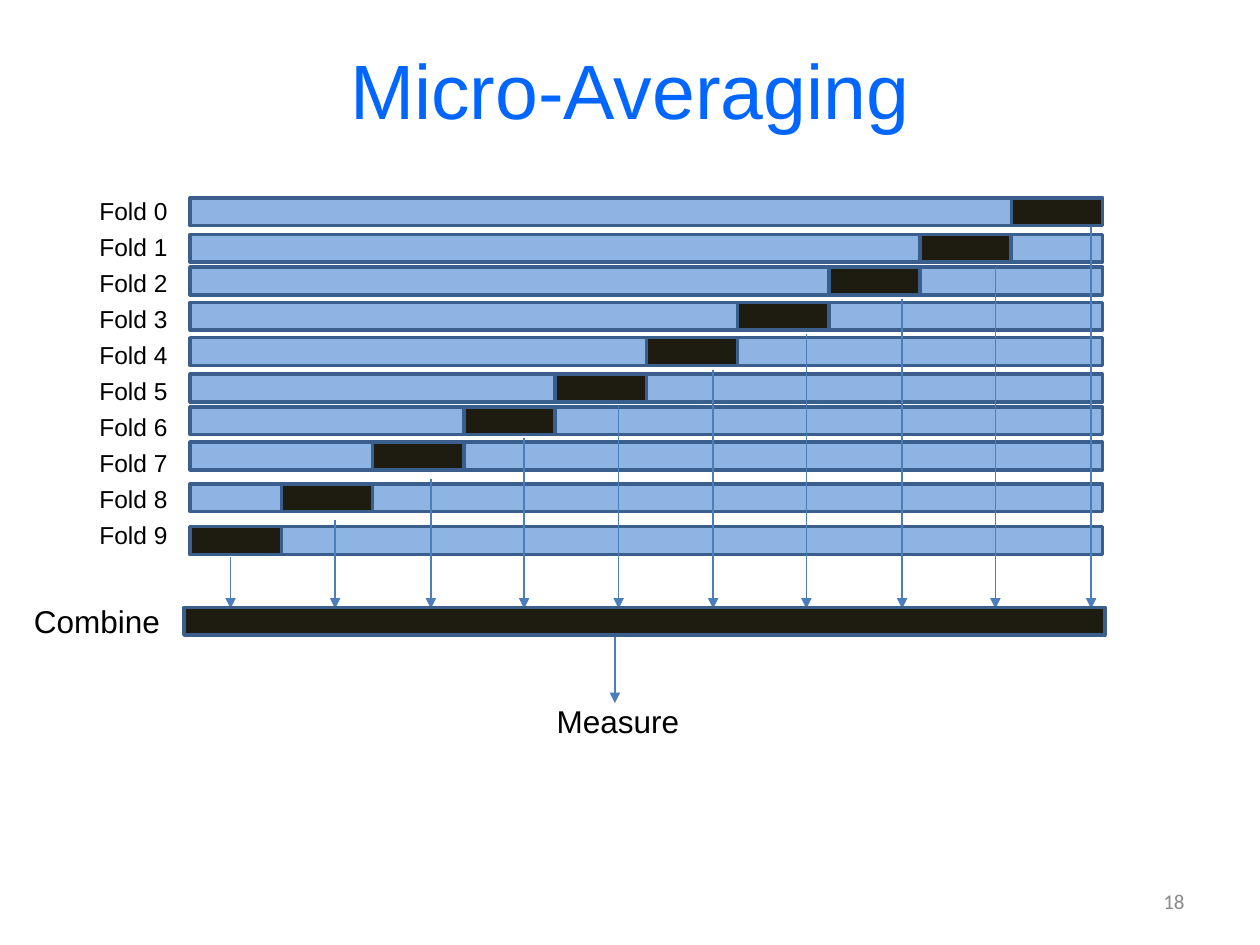
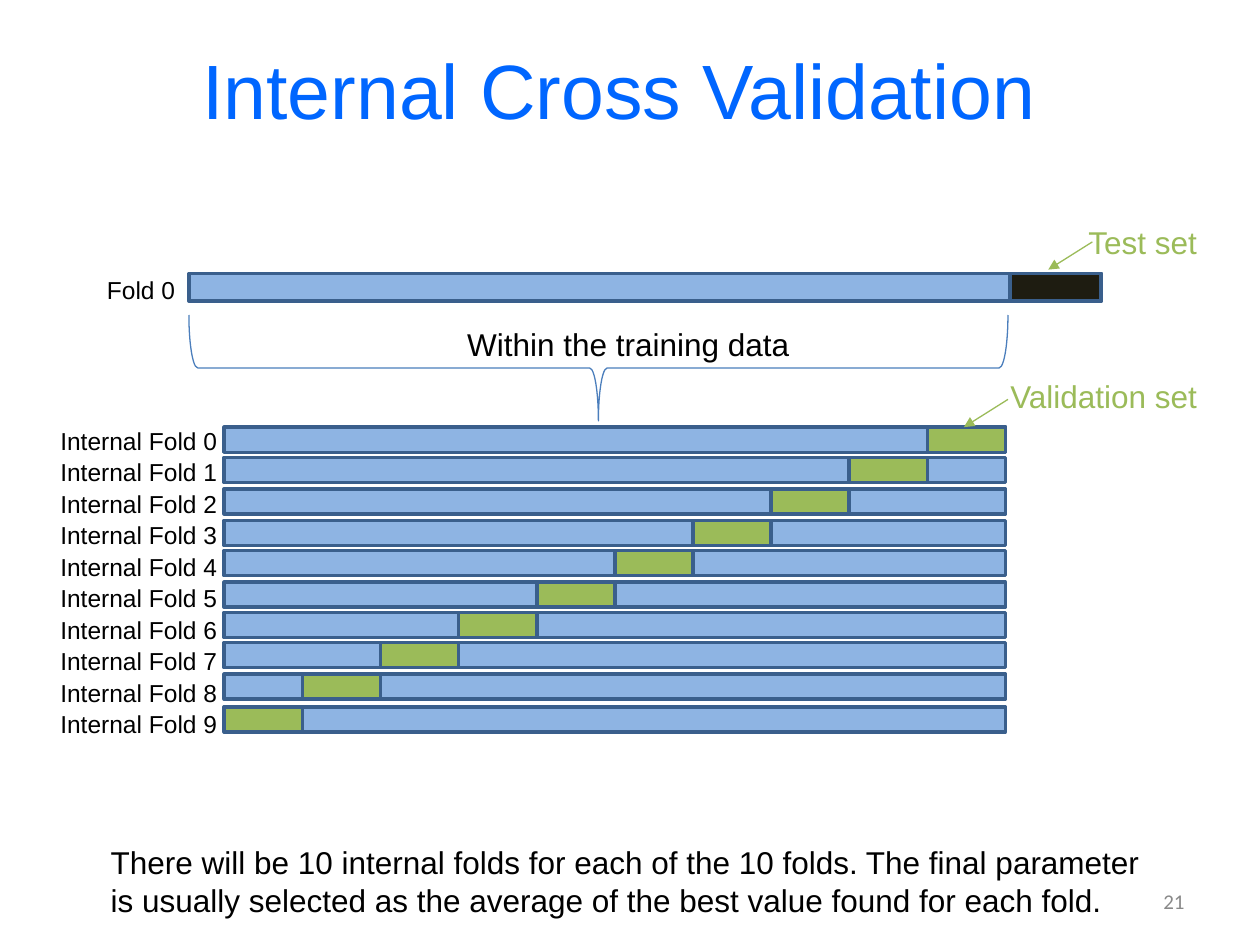
from lxml.etree import SubElement
from pptx import Presentation
from pptx.dml.color import RGBColor
from pptx.enum.shapes import MSO_CONNECTOR, MSO_SHAPE
from pptx.enum.text import MSO_ANCHOR as Anchor, PP_ALIGN as Align
from pptx.oxml.ns import qn
from pptx.util import Inches, Pt

color = RGBColor.from_string
TITLE_BLUE, TRAIN_BLUE, EDGE_BLUE, ARROW_BLUE = "0066FF", "8EB4E3", "3A5F8C", "4B7EBC"
TEST_BLACK, VALIDATION_GREEN, TEXT_BLACK, PAGE_GRAY = "1E1C11", "9BBB59", "000000", "898989"

presentation = Presentation()
presentation.slide_width = Inches(10)
presentation.slide_height = Inches(7.5)
column = presentation.slide_width / 10
row = presentation.slide_height / 7.5


def add_text(slide, text, left, top, width, height=0.4, size=18, ink=TEXT_BLACK,
             font="Arial", align=Align.LEFT, anchor=Anchor.TOP, wrap=False):
    box = slide.shapes.add_textbox(int(left * column), int(top * row),
                                   int(width * column), int(height * row))
    frame = box.text_frame
    frame.word_wrap = wrap
    frame.vertical_anchor = anchor
    frame.text = text
    for paragraph in frame.paragraphs:
        paragraph.alignment = align
        paragraph.font.name = font
        paragraph.font.size = Pt(size)
        paragraph.font.color.rgb = color(ink)


def add_shape(slide, left, top, width, height, fill=None, edge=EDGE_BLUE,
              weight=2, kind=MSO_SHAPE.RECTANGLE):
    shape = slide.shapes.add_shape(kind, int(left * column), int(top * row),
                                   int(width * column), int(height * row))
    shape.shadow.inherit = False
    if fill:
        shape.fill.solid()
        shape.fill.fore_color.rgb = color(fill)
    else:
        shape.fill.background()
    shape.line.color.rgb = color(edge)
    shape.line.width = Pt(weight)
    return shape


slides = []
for title, number in [("Micro-Averaging", "18"), ("Internal Cross Validation ", "21")]:
    slide = presentation.slides.add_slide(presentation.slide_layouts[6])
    add_text(slide, title, 0.5, 0.08, 9, 1.25, 44, TITLE_BLUE,
             align=Align.CENTER, anchor=Anchor.MIDDLE, wrap=True)
    add_text(slide, number, 7.17, 6.95, 2.33, 0.4, 12, PAGE_GRAY, "Calibri",
             Align.RIGHT, Anchor.MIDDLE, True)
    slides.append(slide)
micro, internal = slides

fold_tops = [1.57, 1.86, 2.12, 2.4, 2.68, 2.97, 3.23, 3.51, 3.84, 4.18]
internal_tops = [3.39, 3.63, 3.88, 4.13, 4.37, 4.62, 4.86, 5.1, 5.35, 5.61]
fold_charts = [
    (micro, "Fold", fold_tops, 1.51, 7.24, 0.22, TEST_BLACK, 0.69, 0.75, 1.51, 4.08),
    (internal, "Fold", [2.17], 1.5, 7.24, 0.22, TEST_BLACK, 0.75, 0.75, 2.13, 2.13),
    (internal, "Internal Fold", internal_tops, 1.78, 6.2, 0.2, VALIDATION_GREEN,
     0.38, 1.45, 3.33, 5.58),
]
for (slide, name, tops, left, width, height, held_out,
     label_left, label_width, first_label, last_label) in fold_charts:
    part = width / 10
    label_step = (last_label - first_label) / 9
    for fold, top in enumerate(tops):
        add_shape(slide, left, top, width, height, TRAIN_BLUE)
        add_shape(slide, left + (9 - fold) * part, top, part, height, held_out)
        add_text(slide, f"{name} {fold}", label_left, first_label + fold * label_step,
                 label_width, 0.34, 14)

arrow_columns = [8.66, 7.9, 7.16, 6.4, 5.66, 4.91, 4.16, 3.42, 2.66, 1.83]
arrow_starts = [1.8, 2.12, 2.37, 2.65, 2.94, 3.22, 3.48, 3.8, 4.13, 4.42]
arrows = [(micro, x, y, x, 4.83, ARROW_BLUE) for x, y in zip(arrow_columns, arrow_starts)]
arrows += [
    (micro, 4.88, 5.04, 4.88, 5.58, ARROW_BLUE),
    (internal, 8, 3.17, 7.65, 3.39, VALIDATION_GREEN),
    (internal, 8.67, 1.92, 8.32, 2.14, VALIDATION_GREEN),
]
for slide, start_x, start_y, end_x, end_y, ink in arrows:
    arrow = slide.shapes.add_connector(
        MSO_CONNECTOR.STRAIGHT, int(start_x * column), int(start_y * row),
        int(end_x * column), int(end_y * row))
    arrow.line.color.rgb = color(ink)
    arrow.line.width = Pt(0.75)
    SubElement(arrow.line._get_or_add_ln(), qn("a:tailEnd"), type="triangle")
    SubElement(arrow._element.spPr, qn("a:effectLst"))

add_shape(micro, 1.46, 4.82, 7.31, 0.22, TEST_BLACK)
add_text(micro, "Measure", 4.32, 5.52, 1.18)
add_text(micro, "Combine", 0.17, 4.73, 1.28)

brace = add_shape(internal, 4.33, -0.33, 0.84, 6.5, None, ARROW_BLUE, 0.75,
                  MSO_SHAPE.LEFT_BRACE)
brace.rotation = 270
add_text(internal, "Within the training data", 3.61, 2.53, 2.78)
add_text(internal, "Validation set", 7.92, 2.94, 1.7, ink=VALIDATION_GREEN)
add_text(internal, "Test set", 8.54, 1.72, 1.07, ink=VALIDATION_GREEN)
add_text(internal,
         "There will be 10 internal folds for each of the 10 folds. The final parameter\n"
         "is usually selected as the average of the best value found for each fold.",
         0.78, 6.64, 8.44, 0.71)

presentation.save("out.pptx")
